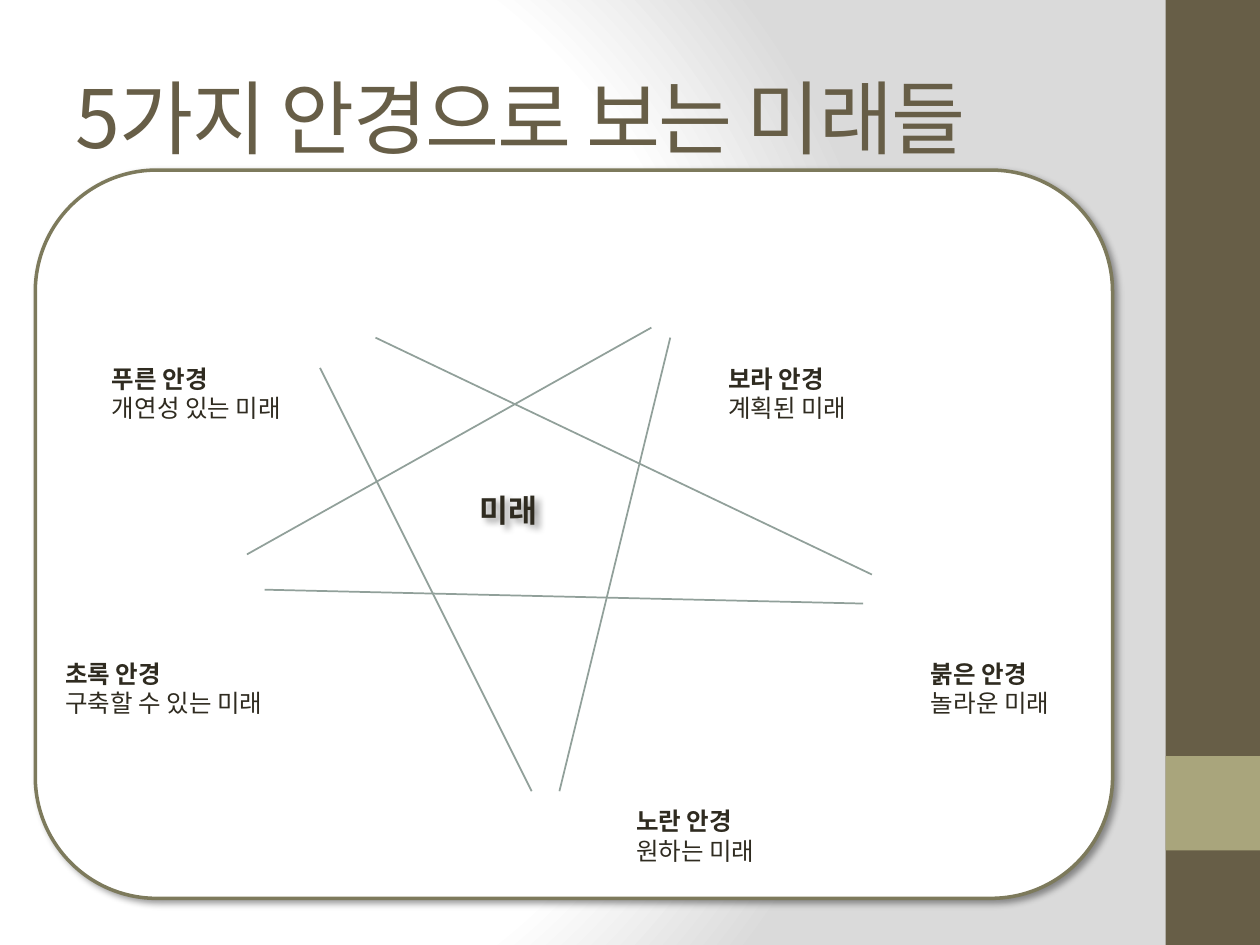
from typing import NamedTuple

from lxml import etree
from pptx import Presentation
from pptx import util as u
from pptx.dml.color import RGBColor
from pptx.enum import shapes, text
from pptx.oxml import parse_xml
from pptx.oxml.ns import nsdecls, qn

WIDTH, HEIGHT = 10, 7.5
FONT = "Noto Sans CJK KR"
COLOURS = {
    "title": "675E47", "sidebar": "675E47", "accent": "A9A57C",
    "panel": "FFFFFF", "panel_edge": "7D7A5C", "star": "91A09A",
    "ink": "2F2B20", "glow": "FFFFFF", "haze": "DADADA", "shadow": "000000",
}


class Area(NamedTuple):
    """Left, top, width and height in percent of the slide's size."""
    left: float
    top: float
    width: float
    height: float


class Ray(NamedTuple):
    """Two end points in percent of the slide's size."""
    x1: float
    y1: float
    x2: float
    y2: float


class Lens(NamedTuple):
    name: str
    future: str
    left: float
    top: float
    width: float


RAYS = [
    Ray(29.8, 35.73, 69.2, 60.8),
    Ray(25.4, 38.93, 42.2, 83.73),
    Ray(19.6, 58.67, 51.7, 34.67),
    Ray(21, 62.4, 68.5, 63.87),
    Ray(53.2, 35.73, 44.4, 83.73),
]
LENSES = [
    Lens("푸른 안경", "개연성 있는 미래", 7.9, 37.87, 16),
    Lens("보라 안경", "계획된 미래", 56.8, 37.87, 11.7),
    Lens("붉은 안경", "놀라운 미래", 72.9, 69.07, 11.7),
    Lens("노란 안경", "원하는 미래", 49.5, 84.67, 11.7),
    Lens("초록 안경", "구축할 수 있는 미래", 4.2, 69.07, 18.4),
]
LENS_HEIGHT = 7.6


def across(share: float) -> u.Length:
    return u.Inches(WIDTH * share / 100)


def down(share: float) -> u.Length:
    return u.Inches(HEIGHT * share / 100)


def place(area: Area) -> tuple:
    return across(area.left), down(area.top), across(area.width), down(area.height)


def colour(name: str) -> RGBColor:
    return RGBColor.from_string(COLOURS[name])


def add_background(page) -> None:
    stops = "".join(
        f'<a:gs pos="{pos * 1000}"><a:srgbClr val="{COLOURS[name]}"/></a:gs>'
        for pos, name in ((0, "glow"), (75, "glow"), (100, "haze")))
    page.element.cSld.insert(0, parse_xml(
        f'<p:bg {nsdecls("p", "a")}><p:bgPr><a:gradFill rotWithShape="1">'
        f'<a:gsLst>{stops}</a:gsLst><a:path path="circle">'
        '<a:fillToRect l="20000" t="50000" r="100000" b="50000"/></a:path>'
        '</a:gradFill><a:effectLst/></p:bgPr></p:bg>'))


def cast_shadow(shape) -> None:
    shape.shadow.inherit = False
    effects = shape.element.spPr.find(qn("a:effectLst"))
    effects.append(parse_xml(
        f'<a:outerShdw {nsdecls("a")} blurRad="{u.Pt(4)}" dist="{u.Pt(3)}" '
        f'dir="{45 * 60000}" algn="tl" rotWithShape="0">'
        f'<a:srgbClr val="{COLOURS["shadow"]}"><a:alpha val="40000"/></a:srgbClr>'
        '</a:outerShdw>'))


def add_block(page, kind, area: Area, fill: str):
    block = page.shapes.add_shape(kind, *place(area))
    block.shadow.inherit = False
    block.fill.solid()
    block.fill.fore_color.rgb = colour(fill)
    block.line.fill.background()
    return block


def add_ray(page, ray: Ray) -> None:
    line = page.shapes.add_connector(
        shapes.MSO_CONNECTOR.STRAIGHT,
        across(ray.x1), down(ray.y1), across(ray.x2), down(ray.y2))
    line.line.color.rgb = colour("star")
    line.line.width = u.Pt(1)
    etree.SubElement(line.element.spPr, qn("a:effectLst"))


def style(para, size: float, ink: str, bold: bool = False, spacing: float = 0) -> None:
    """Set the paragraph's font, for Latin and Korean letters alike."""
    font = para.font
    font.size, font.bold, font.name = u.Pt(size), bold, FONT
    font.color.rgb = colour(ink)
    defaults = para._p.pPr.find(qn("a:defRPr"))
    defaults.find(qn("a:latin")).addnext(
        parse_xml(f'<a:ea {nsdecls("a")} typeface="{FONT}"/>'))
    if spacing:
        defaults.set("spc", str(int(spacing * 100)))


def add_text(page, area: Area, lines: list[str], wrap: bool = False):
    box = page.shapes.add_textbox(*place(area))
    frame = box.text_frame
    frame.word_wrap = wrap
    if not wrap:
        frame.auto_size = text.MSO_AUTO_SIZE.SHAPE_TO_FIT_TEXT
    frame.text = "\n".join(lines)
    return box


def add_lens(page, lens: Lens) -> None:
    area = Area(lens.left, lens.top, lens.width, LENS_HEIGHT)
    box = add_text(page, area, [lens.name, lens.future])
    name, future = box.text_frame.paragraphs
    style(name, 14, "ink", bold=True)
    style(future, 14, "ink")


def main() -> None:
    deck = Presentation()
    deck.slide_width, deck.slide_height = u.Inches(WIDTH), u.Inches(HEIGHT)
    page = deck.slides.add_slide(deck.slide_layouts[6])
    add_background(page)

    kinds = shapes.MSO_SHAPE
    add_block(page, kinds.RECTANGLE, Area(92.5, 0, 7.5, 100), "sidebar")
    add_block(page, kinds.RECTANGLE, Area(92.5, 80, 7.5, 10), "accent")

    title = add_text(page, Area(5, 4, 83.3, 16.67), ["5가지 안경으로 보는 미래들"], wrap=True)
    title.text_frame.vertical_anchor = text.MSO_ANCHOR.MIDDLE
    style(title.text_frame.paragraphs[0], 46, "title", spacing=-1)

    panel = add_block(page, kinds.ROUNDED_RECTANGLE, Area(2.8, 18, 85.5, 77.07), "panel")
    panel.line.color.rgb = colour("panel_edge")
    panel.line.width = u.Pt(2)
    cast_shadow(panel)

    for ray in RAYS:
        add_ray(page, ray)
    for lens in LENSES:
        add_lens(page, lens)

    centre = add_text(page, Area(37.1, 51.33, 6.6, 5.33), ["미래"])
    style(centre.text_frame.paragraphs[0], 18, "ink", bold=True)
    cast_shadow(centre)

    deck.save("out.pptx")


if __name__ == "__main__":
    main()
